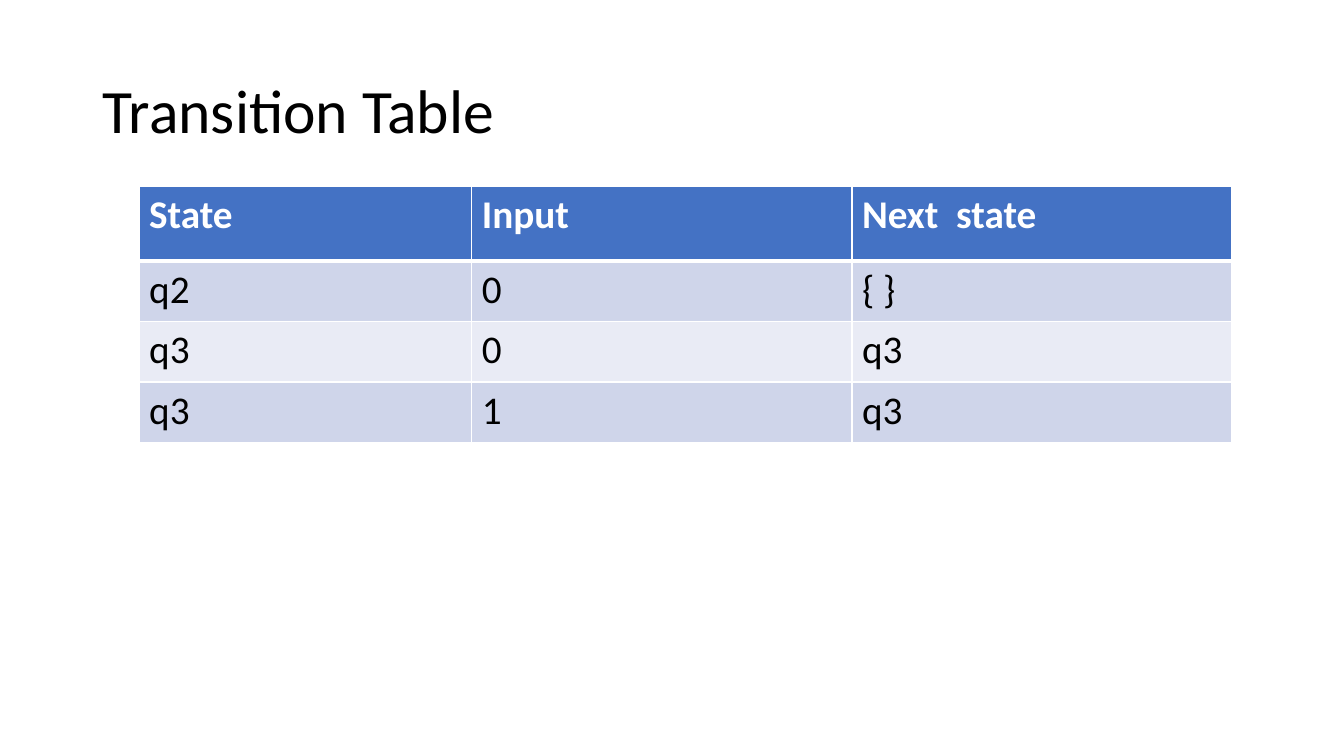
from lxml import etree
from pptx import Presentation
from pptx.dml.color import RGBColor
from pptx.enum.text import MSO_ANCHOR
from pptx.oxml.ns import qn
from pptx.util import Inches, Pt

MIDDLE = MSO_ANCHOR.MIDDLE

TITLE = "Transition Table"
TRANSITIONS = [
    ("State", "Input ", "Next  state"),
    ("q2", "0", "{ }"),
    ("q3", "0", "q3"),
    ("q3", "1", "q3"),
]
COLUMN_WIDTHS = (3.3, 3.77, 3.77)
HEADER_HEIGHT, BODY_HEIGHT = 0.74, 0.6
HEADER_FILL = "4472C4"
BAND_FILLS = ("E9EBF5", "CFD5EA")
WHITE, BLACK = "FFFFFF", "000000"


def color(value):
    return RGBColor.from_string(value)


def add_text(para, text, size, value, bold=False):
    span = para.add_run()
    span.text = text
    span.font.name = "Calibri"
    span.font.size = Pt(size)
    span.font.bold = bold
    span.font.color.rgb = color(value)


def add_border(cell, side, points):
    properties = cell._tc.get_or_add_tcPr()
    line = etree.SubElement(properties, qn(f"a:ln{side}"), w=str(Pt(points)))
    fill = etree.SubElement(line, qn("a:solidFill"))
    etree.SubElement(fill, qn("a:srgbClr"), val=WHITE)


deck = Presentation()
deck.slide_width, deck.slide_height = Inches(13.33), Inches(7.5)
page = deck.slides.add_slide(deck.slide_layouts[6])

box = page.shapes.add_textbox(Inches(0.92), Inches(0.4), Inches(11.5), Inches(1.45))
box.text_frame.word_wrap = True
box.text_frame.vertical_anchor = MIDDLE
para = box.text_frame.paragraphs[0]
para.line_spacing = 0.9
add_text(para, TITLE, 44, BLACK)

row_heights = [HEADER_HEIGHT] + [BODY_HEIGHT] * (len(TRANSITIONS) - 1)
table = page.shapes.add_table(
    len(TRANSITIONS), len(COLUMN_WIDTHS), Inches(1.38), Inches(1.85),
    Inches(sum(COLUMN_WIDTHS)), Inches(sum(row_heights))).table
for column, width in zip(table.columns, COLUMN_WIDTHS):
    column.width = Inches(width)

for index, (values, height) in enumerate(zip(TRANSITIONS, row_heights)):
    table.rows[index].height = Inches(height)
    header = index == 0
    borders = {"L": 1, "R": 1, "T": 3 if index == 1 else 1, "B": 3 if header else 1}
    for cell, value in zip(table.rows[index].cells, values):
        for side, points in borders.items():
            add_border(cell, side, points)
        cell.fill.solid()
        cell.fill.fore_color.rgb = color(HEADER_FILL if header else BAND_FILLS[index % 2])
        add_text(cell.text_frame.paragraphs[0], value, 28, WHITE if header else BLACK, header)

deck.save("out.pptx")
